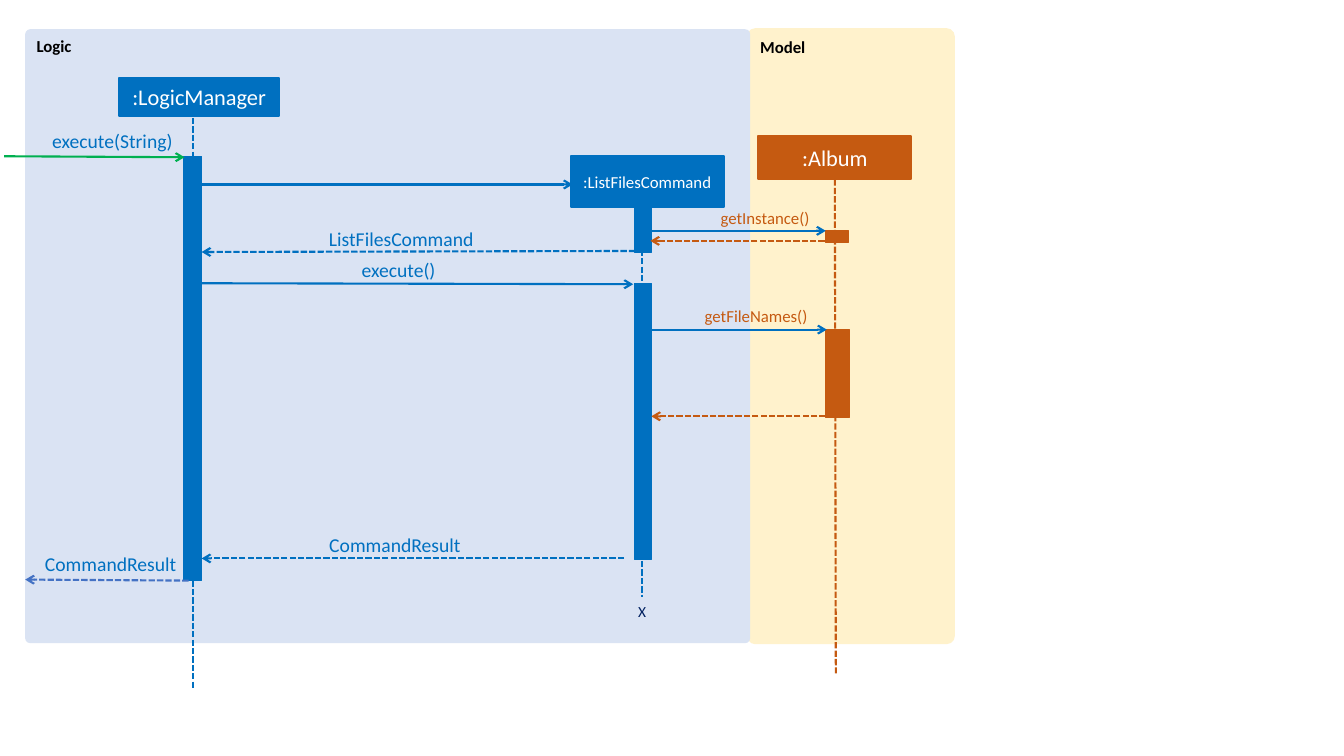
import pptx
import pptx.util
import pptx.dml.color
import pptx.enum.dml
import pptx.enum.shapes
import pptx.enum.text
import pptx.oxml.ns
from lxml import etree
from pptx.util import Inches

COLORS = {
    "logic": "0070C0", "model": "C55A11", "logic_bg": "DAE3F3", "model_bg": "FFF2CC",
    "call": "00B050", "result": "4472C4", "end": "002060", "black": "000000", "white": "FFFFFF",
}
ALIGN = pptx.enum.text.PP_ALIGN
ANCHOR = pptx.enum.text.MSO_ANCHOR
SHAPE = pptx.enum.shapes.MSO_SHAPE


def rgb(name):
    """Return the colour stored under a name."""
    return pptx.dml.color.RGBColor.from_string(COLORS[name])


def write(sp, text, size, color, align, anchor=ANCHOR.TOP, bold=False):
    """Put one formatted line of text in a shape."""
    tf = sp.text_frame
    tf.word_wrap = True
    tf.vertical_anchor = anchor
    tf.text = text
    p = tf.paragraphs[0]
    p.alignment = align
    font = p.runs[0].font
    font.name = "Calibri"
    font.size = pptx.util.Pt(size)
    font.bold = bold
    font.color.rgb = rgb(color)


def add_block(s, kind, box, color, line_width):
    """Add a filled shape with an outline of the same colour."""
    sp = s.shapes.add_shape(kind, *map(Inches, box))
    sp.shadow.inherit = False
    sp.fill.solid()
    sp.fill.fore_color.rgb = rgb(color)
    if line_width:
        sp.line.color.rgb = rgb(color)
        sp.line.width = pptx.util.Pt(line_width)
    else:
        sp.line.fill.background()
    return sp


def add_panel(s, text, box, color, radius, line_width):
    """Add a titled component panel."""
    sp = add_block(s, SHAPE.ROUNDED_RECTANGLE, box, color, line_width)
    sp.adjustments[0] = radius
    write(sp, text, 12, "black", ALIGN.LEFT, bold=True)


def add_participant(s, text, box, color, size):
    """Add the head box of a participant."""
    sp = add_block(s, SHAPE.RECTANGLE, box, color, 1.5)
    write(sp, text, size, "white", ALIGN.CENTER, ANCHOR.MIDDLE)


def add_line(s, start, end, color, dashed=False, arrow=False):
    """Add a straight line, dashed or with an arrowhead if asked."""
    line = s.shapes.add_connector(pptx.enum.shapes.MSO_CONNECTOR.STRAIGHT,
                                  *map(Inches, start + end))
    line.line.color.rgb = rgb(color)
    line.line.width = pptx.util.Pt(1.5)
    if dashed:
        line.line.dash_style = pptx.enum.dml.MSO_LINE.SQUARE_DOT
    qn = pptx.oxml.ns.qn
    if arrow:
        ln = line.line._get_or_add_ln()
        etree.SubElement(ln, qn("a:tailEnd"), type="arrow")
    etree.SubElement(line._element.spPr, qn("a:effectLst"))


def add_label(s, text, box, color, size, align=ALIGN.RIGHT, inset=0):
    """Add a text label."""
    sp = s.shapes.add_textbox(*map(Inches, box))
    tf = sp.text_frame
    tf.margin_left = tf.margin_right = Inches(inset)
    tf.margin_top = tf.margin_bottom = Inches(inset / 2)
    write(sp, text, size, color, align)


def main():
    """Build the sequence diagram slide."""
    prs = pptx.Presentation()
    prs.slide_width, prs.slide_height = Inches(13.33), Inches(7.5)
    s = prs.slides.add_slide(prs.slide_layouts[6])

    add_panel(s, "Model", (7.42, 0.29, 2.04, 6.09), "model_bg", 0.035, 1.5)
    add_panel(s, "Logic", (0.25, 0.29, 7.19, 6.09), "logic_bg", 0.008, 0)

    lifelines = [
        ((8.28, 1.78), (8.29, 6.68), "model"),
        ((1.91, 1.17), (1.91, 6.83), "logic"),
        ((6.37, 2.06), (6.37, 5.92), "logic"),
    ]
    for start, end, color in lifelines:
        add_line(s, start, end, color, dashed=True)

    activations = [
        ((1.82, 1.55, 0.18, 4.21), "logic"),
        ((6.29, 2.05, 0.17, 0.45), "logic"),
        ((6.29, 2.81, 0.17, 2.74), "logic"),
        ((8.19, 2.29, 0.22, 0.11), "model"),
        ((8.19, 3.27, 0.23, 0.87), "model"),
    ]
    for box, color in activations:
        add_block(s, SHAPE.RECTANGLE, box, color, 0.5)

    calls = [
        ((0.04, 1.55), (1.83, 1.56), "call"),
        ((1.91, 1.83), (5.68, 1.83), "logic"),
        ((6.36, 2.29), (8.19, 2.29), "logic"),
        ((2, 2.81), (6.28, 2.82), "logic"),
        ((6.37, 3.27), (8.2, 3.27), "logic"),
    ]
    for start, end, color in calls:
        add_line(s, start, end, color, arrow=True)

    returns = [
        ((8.18, 2.39), (6.45, 2.39), "model"),
        ((6.3, 2.49), (2, 2.5), "logic"),
        ((8.19, 4.13), (6.46, 4.13), "model"),
        ((6.19, 5.54), (2, 5.54), "logic"),
        ((1.87, 5.76), (0.25, 5.75), "result"),
    ]
    for start, end, color in returns:
        add_line(s, start, end, color, dashed=True, arrow=True)

    add_participant(s, ":LogicManager", (1.18, 0.77, 1.59, 0.38), "logic", 16)
    add_participant(s, ":ListFilesCommand", (5.66, 1.55, 1.52, 0.5), "logic", 12)
    add_participant(s, ":Album", (7.52, 1.35, 1.52, 0.43), "model", 16)

    add_label(s, "execute(String)", (0.47, 1.28, 1.29, 0.24), "logic", 14, ALIGN.CENTER)
    add_label(s, "ListFilesCommand", (3.12, 2.25, 1.72, 0.24), "logic", 14, ALIGN.CENTER)
    add_label(s, "execute()", (3.38, 2.56, 0.94, 0.24), "logic", 14)
    add_label(s, "CommandResult", (2.96, 5.29, 1.61, 0.24), "logic", 14)
    add_label(s, "CommandResult", (0.34, 5.48, 1.41, 0.24), "logic", 14)
    add_label(s, "getInstance()", (6.47, 2.06, 1.56, 0.2), "model", 12)
    add_label(s, "getFileNames()", (6.45, 3.03, 1.56, 0.2), "model", 12)
    add_label(s, "X", (6.23, 5.92, 0.28, 0.29), "end", 11, ALIGN.LEFT, 0.1)

    prs.save("out.pptx")


if __name__ == "__main__":
    main()
